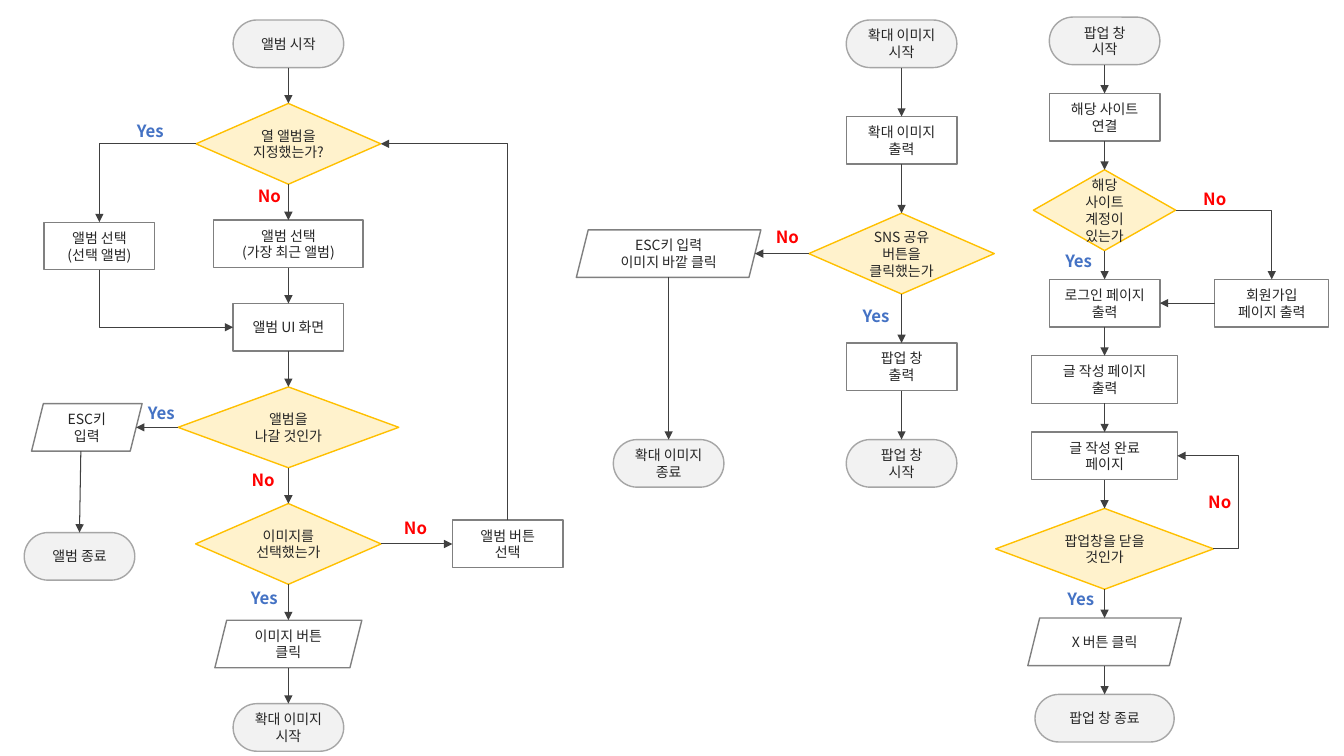
from lxml.etree import SubElement
from pptx import Presentation
from pptx.dml.color import RGBColor
from pptx.enum.shapes import MSO_CONNECTOR as LINK, MSO_SHAPE as SHAPE
from pptx.enum.text import MSO_ANCHOR, MSO_AUTO_SIZE, PP_ALIGN
from pptx.oxml.ns import qn
from pptx.util import Pt

FONT = "Noto Sans CJK KR"
TOP, LEFT, BOTTOM, RIGHT = range(4)
# kind: preset, height, fill, outline
KINDS = {
    "end": (SHAPE.ROUNDED_RECTANGLE, 34, "F2F2F2", "A6A6A6"),
    "step": (SHAPE.RECTANGLE, 34, "FFFFFF", "808080"),
    "input": (SHAPE.PARALLELOGRAM, 34, "FFFFFF", "808080"),
    "choice": (SHAPE.FLOWCHART_DECISION, 57.7, "FFF2CC", "FFC000"),
}
SLANT = Pt(4.25)

ALBUM = [
    ("end", 79, "앨범 시작"),
    ("choice", 132, "열 앨범을\n지정했는가?"),
    ("step", 106.6, "앨범 선택\n(가장 최근 앨범)"),
    ("step", 79, "앨범 UI 화면"),
    ("choice", 157.7, "앨범을\n나갈 것인가"),
    ("choice", 132.5, "이미지를 선택했는가"),
    ("input", 105, "이미지 버튼\n클릭"),
    ("end", 79, "확대 이미지\n시작"),
]
IMAGE = [
    ("end", 79, "확대 이미지\n시작"),
    ("step", 79, "확대 이미지\n출력"),
    ("choice", 132.5, "SNS 공유 버튼을\n클릭했는가"),
    ("step", 79, "팝업 창\n출력"),
    ("end", 79, "팝업 창\n시작"),
]
POPUP = [
    ("end", 79, "팝업 창\n시작"),
    ("step", 79, "해당 사이트\n연결"),
    ("choice", 101.6, "해당\n사이트\n계정이 있는가"),
    ("step", 79, "로그인 페이지\n출력"),
    ("step", 104, "글 작성 페이지\n출력"),
    ("step", 104, "글 작성 완료\n페이지"),
    ("choice", 155.6, "팝업창을 닫을 것인가"),
    ("input", 109.6, "X 버튼 클릭"),
    ("end", 99.4, "팝업 창 종료"),
]
ANSWERS = {
    ("Yes", "4472C4"): [(79.2, 82.8), (160.6, 416.2), (597.6, 214.6),
                        (742.3, 175.7), (743.8, 416.9), (87.1, 284.4)],
    ("No", "FF0000"): [(164.2, 128.9), (159.8, 331.9), (534.2, 158.4),
                       (839.5, 131), (843.1, 347.8), (268.6, 366.5)],
}


def color(value):
    return RGBColor.from_string(value)


def write(frame, text, size, ink, bold=False):
    frame.word_wrap = True
    frame.text = text
    for para in frame.paragraphs:
        para.alignment = PP_ALIGN.CENTER
        font = para.font
        font.name, font.size, font.bold = FONT, Pt(size), bold
        font.color.rgb = color(ink)
        SubElement(font._element, qn("a:ea"), typeface=FONT)


def node(page, kind, center_x, center_y, width, text):
    preset, height, fill, outline = KINDS[kind]
    box = page.shapes.add_shape(preset, Pt(center_x - width / 2),
                                Pt(center_y - height / 2), Pt(width), Pt(height))
    if kind == "end":
        box.adjustments[0] = 0.5
    box.shadow.inherit = False
    box.fill.solid()
    box.fill.fore_color.rgb = color(fill)
    box.line.color.rgb = color(outline)
    box.line.width = Pt(1)
    box.text_frame.vertical_anchor = MSO_ANCHOR.MIDDLE
    write(box.text_frame, text, 10, "262626")
    return box


def answer(page, text, ink, left, top):
    box = page.shapes.add_textbox(Pt(left), Pt(top), Pt(63.4), Pt(21.8))
    frame = box.text_frame
    frame.margin_left, frame.margin_right = 0, Pt(7.2)
    frame.auto_size = MSO_AUTO_SIZE.SHAPE_TO_FIT_TEXT
    write(frame, text, 12, ink, bold=True)


def is_slanted(box):
    return box.auto_shape_type == SHAPE.PARALLELOGRAM


def side_point(box, side):
    inset = SLANT if is_slanted(box) else 0
    middle_x, middle_y = box.left + box.width // 2, box.top + box.height // 2
    return {
        TOP: (middle_x, box.top),
        LEFT: (box.left + inset, middle_y),
        BOTTOM: (middle_x, box.top + box.height),
        RIGHT: (box.left + box.width - inset, middle_y),
    }[side]


def arrow(page, start, end, kind=LINK.STRAIGHT):
    link = page.shapes.add_connector(kind, *start, *end)
    link.line.color.rgb = color("404040")
    link.line.width = Pt(0.75)
    SubElement(link.line._ln, qn("a:tailEnd"), type="triangle")
    SubElement(link._element.spPr, qn("a:effectLst"))
    return link


def join(page, source, source_side, target, target_side):
    link = arrow(page, side_point(source, source_side), side_point(target, target_side))
    if not is_slanted(source):
        link.begin_connect(source, source_side)
    if not is_slanted(target):
        link.end_connect(target, target_side)


def corner(page, start, end, vertical_first=False):
    """One-bend arrow; a vertical start is a horizontal one turned by 270 degrees."""
    if vertical_first:
        mid_x, mid_y = (start[0] + end[0]) // 2, (start[1] + end[1]) // 2
        start, end = [(mid_x - (y - mid_y), mid_y + (x - mid_x)) for x, y in (start, end)]
    link = arrow(page, start, end, LINK.ELBOW)
    properties = link._element.spPr
    properties.find(qn("a:prstGeom")).set("prst", "bentConnector2")
    if vertical_first:
        properties.find(qn("a:xfrm")).set("rot", str(270 * 60000))


def loop_back(page, start, end, reach):
    """Arrow that leaves to the right by reach and returns to end."""
    link = arrow(page, start, end, LINK.ELBOW)
    bend = round(-100000 * reach / (start[0] - end[0]))
    guides = link._element.spPr.find(qn("a:prstGeom")).get_or_add_avLst()
    SubElement(guides, qn("a:gd"), name="adj1", fmla=f"val {bend}")


def column(page, center_x, top, gap, steps):
    boxes = []
    for kind, width, text in steps:
        height = KINDS[kind][1]
        boxes.append(node(page, kind, center_x, top + height / 2, width, text))
        top += height + gap
    for upper, lower in zip(boxes, boxes[1:]):
        join(page, upper, BOTTOM, lower, TOP)
    return boxes


def middle(box):
    return (box.top + box.height / 2) / Pt(1)


def album_branches(page, boxes):
    _, has_album, _, screen, leaving, has_image, *_ = boxes
    chosen = node(page, "step", 71, 175.7, 79, "앨범 선택\n(선택 앨범)")
    escape = node(page, "input", 62, middle(leaving), 79, "ESC키\n입력")
    finish = node(page, "end", 56.8, 397.4, 79, "앨범 종료")
    button = node(page, "step", 362.6, middle(has_image), 79, "앨범 버튼\n선택")
    corner(page, side_point(has_album, LEFT), side_point(chosen, TOP))
    corner(page, side_point(chosen, BOTTOM), side_point(screen, LEFT), True)
    corner(page, side_point(button, TOP), side_point(has_album, RIGHT), True)
    join(page, leaving, LEFT, escape, RIGHT)
    join(page, has_image, RIGHT, button, LEFT)
    escape_x, escape_y = side_point(escape, BOTTOM)
    link = arrow(page, (escape_x - SLANT, escape_y), side_point(finish, TOP))
    link.end_connect(finish, TOP)


def image_branches(page, boxes):
    sharing, popup_start = boxes[2], boxes[4]
    escape = node(page, "input", 477.6, middle(sharing), 131.8, "ESC키 입력\n이미지 바깥 클릭")
    finish = node(page, "end", 477.6, middle(popup_start), 79, "확대 이미지\n종료")
    join(page, sharing, LEFT, escape, RIGHT)
    join(page, escape, BOTTOM, finish, TOP)


def popup_branches(page, boxes):
    _, _, has_account, login, _, written, closing, *_ = boxes
    signup = node(page, "step", 908.4, middle(login), 81.5, "회원가입\n페이지 출력")
    corner(page, side_point(has_account, RIGHT), side_point(signup, TOP))
    join(page, signup, LEFT, login, RIGHT)
    loop_back(page, side_point(closing, RIGHT), side_point(written, RIGHT), Pt(18))


def main():
    deck = Presentation()
    deck.slide_width, deck.slide_height = Pt(960), Pt(540)
    page = deck.slides.add_slide(deck.slide_layouts[6])
    album_branches(page, column(page, 206, 14.3, 25.6, ALBUM))
    image_branches(page, column(page, 644, 14.3, 35, IMAGE))
    popup_branches(page, column(page, 789, 12.2, 20.55, POPUP))
    for (text, ink), places in ANSWERS.items():
        for left, top in places:
            answer(page, text, ink, left, top)
    deck.save("out.pptx")


if __name__ == "__main__":
    main()
